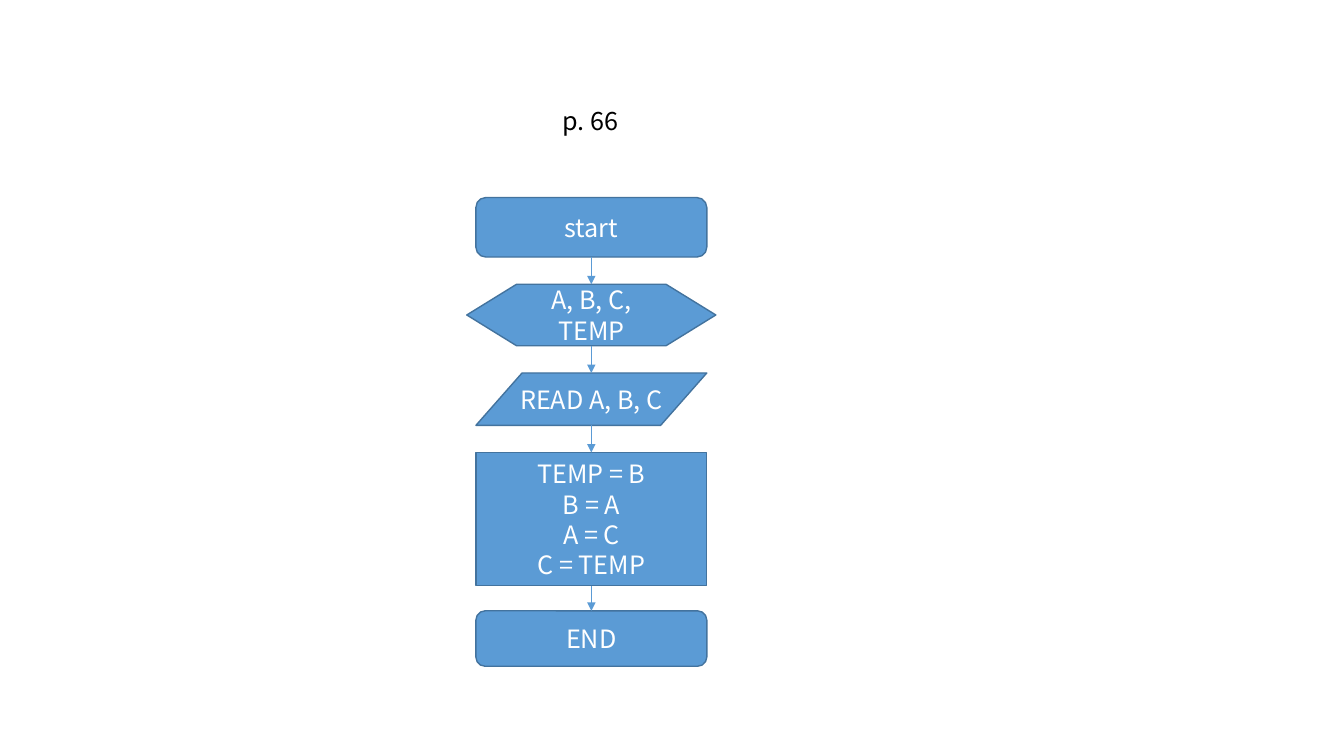
from dataclasses import dataclass
from itertools import pairwise

from lxml.etree import SubElement
from pptx import Presentation
from pptx.dml.color import RGBColor
from pptx.enum.shapes import MSO_CONNECTOR, MSO_SHAPE
from pptx.enum.text import MSO_ANCHOR, MSO_AUTO_SIZE, PP_ALIGN
from pptx.oxml.ns import qn
from pptx.util import Inches, Pt


@dataclass(frozen=True)
class Theme:
    font: str = "Noto Sans CJK KR"
    size: Pt = Pt(18)
    line_spacing: Pt = Pt(21.6)
    outline_width: Pt = Pt(1)
    arrow_width: Pt = Pt(0.5)
    fill: RGBColor = RGBColor(0x5B, 0x9B, 0xD5)
    outline: RGBColor = RGBColor(0x43, 0x73, 0x9E)
    step_text: RGBColor = RGBColor(0xFF, 0xFF, 0xFF)
    page_text: RGBColor = RGBColor(0, 0, 0)


THEME = Theme()

STEPS = [
    (MSO_SHAPE.ROUNDED_RECTANGLE, 0, 2.29, 0.59, ["start"]),
    (MSO_SHAPE.FLOWCHART_PREPARATION, 0.86, 2.47, 0.61, ["A, B, C, TEMP"]),
    (MSO_SHAPE.FLOWCHART_DATA, 1.74, 2.29, 0.52, ["READ A, B, C"]),
    (MSO_SHAPE.RECTANGLE, 2.53, 2.29, 1.32,
     ["TEMP = B", "B = A", "A = C", "C = TEMP"]),
    (MSO_SHAPE.ROUNDED_RECTANGLE, 4.1, 2.29, 0.55, ["END"]),
]


def write_lines(frame, lines, color, alignment, wrap=True):
    frame.word_wrap = wrap
    frame.text = "\n".join(lines)
    for paragraph in frame.paragraphs:
        paragraph.alignment = alignment
        paragraph.line_spacing = THEME.line_spacing
        paragraph.font.name = THEME.font
        paragraph.font.size = THEME.size
        paragraph.font.color.rgb = color


def add_page_reference(slide, left, top, width, height):
    reference = slide.shapes.add_textbox(
        Inches(left), Inches(top), Inches(width), Inches(height))
    write_lines(reference.text_frame, ["p. 66"], THEME.page_text, PP_ALIGN.LEFT)
    reference.text_frame.auto_size = MSO_AUTO_SIZE.SHAPE_TO_FIT_TEXT


def add_step(slide, kind, left, top, width, height, lines):
    step = slide.shapes.add_shape(
        kind, Inches(left), Inches(top), Inches(width), Inches(height))
    step.shadow.inherit = False
    step.fill.solid()
    step.fill.fore_color.rgb = THEME.fill
    step.line.color.rgb = THEME.outline
    step.line.width = THEME.outline_width
    step.text_frame.vertical_anchor = MSO_ANCHOR.MIDDLE
    write_lines(step.text_frame, lines, THEME.step_text, PP_ALIGN.CENTER,
                wrap=kind != MSO_SHAPE.FLOWCHART_DATA)
    return step


def add_arrow(slide, upper, lower):
    center = upper.left + upper.width // 2
    arrow = slide.shapes.add_connector(
        MSO_CONNECTOR.STRAIGHT, center, upper.top + upper.height,
        center, lower.top)
    arrow.line.color.rgb = THEME.fill
    arrow.line.width = THEME.arrow_width
    properties = arrow.element.spPr
    SubElement(properties.find(qn("a:ln")), qn("a:tailEnd"), type="triangle")
    SubElement(properties, qn("a:effectLst"))


def add_flowchart(slide, left, top, width):
    steps = [
        add_step(slide, kind, left + (width - step_width) / 2, top + offset,
                 step_width, height, lines)
        for kind, offset, step_width, height, lines in STEPS
    ]
    for upper, lower in pairwise(steps):
        add_arrow(slide, upper, lower)


def main():
    presentation = Presentation()
    presentation.slide_width = Inches(13.33)
    presentation.slide_height = Inches(7.5)
    slide = presentation.slides.add_slide(presentation.slide_layouts[6])
    add_flowchart(slide, 4.63, 1.96, 2.47)
    add_page_reference(slide, 5.48, 1, 1.62, 0.4)
    presentation.save("out.pptx")


if __name__ == "__main__":
    main()
